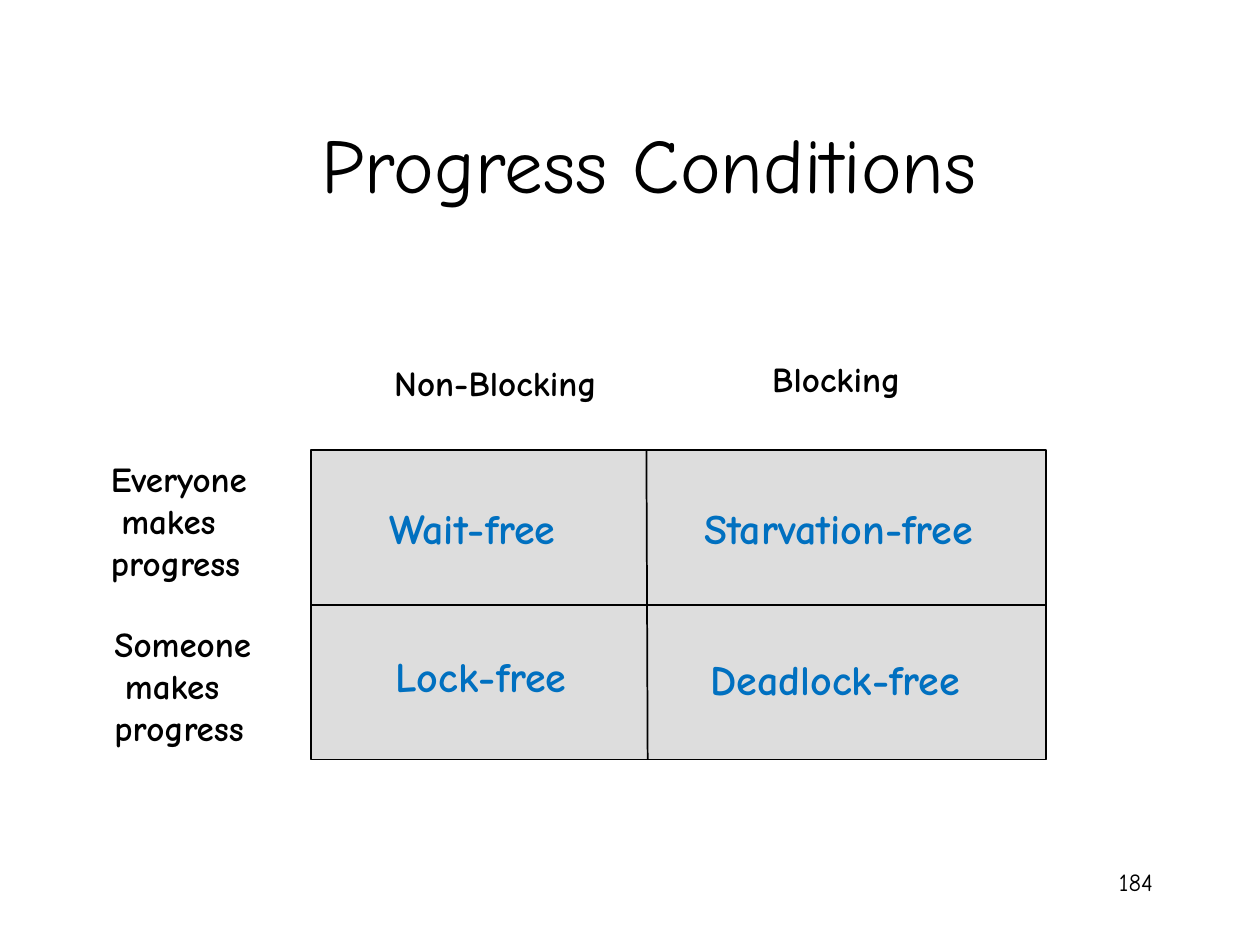
from lxml import etree
from pptx import Presentation
from pptx.dml.color import RGBColor
from pptx.enum import shapes, text
from pptx.oxml.ns import qn
from pptx.util import Pt

COLORS = {"ink": "000000", "grid": "DDDDDD", "condition": "0070C0"}
FONT = "Comic Neue"

TITLE = "Progress Conditions"
PAGE_NUMBER = "184"
COLUMN_HEADS = [
    ("Non-Blocking", 218.2, 203, 141.8),
    ("Blocking", 434.2, 200.9, 91.4),
]
ROW_HEADS = [
    (["Everyone", "makes", "progress"], 56.2, 257.8, 101.5),
    (["Someone", "makes", "progress"], 58.3, 352.1, 98.6),
]
CONDITIONS = [
    ("Wait-free", 215.3, 283.7, 137.5),
    ("Starvation-free", 395.3, 283.7, 202.3),
    ("Lock-free", 218.9, 367.9, 131.8),
    ("Deadlock-free", 398.9, 370.1, 184.3),
]
GRID_LEFT, GRID_TOP, GRID_WIDTH, GRID_HEIGHT = 177.8, 257, 419.8, 177.1
DIVIDER_TOP_X, DIVIDER_BOTTOM_X = 369.4, 370.1
MIDDLE_LINE_INDENT = 6
TITLE_SHIFT = 22

presentation = Presentation()
presentation.slide_width, presentation.slide_height = Pt(720), Pt(540)
slide = presentation.slides.add_slide(presentation.slide_layouts[6])


def color(name):
    return RGBColor.from_string(COLORS[name])


def write(lines, left, top, width, height, size=20, bold=True, ink="ink",
          align=text.PP_ALIGN.LEFT, anchor=text.MSO_ANCHOR.TOP, indents=(), inset=7.2):
    box = slide.shapes.add_textbox(Pt(left), Pt(top), Pt(width), Pt(height))
    frame = box.text_frame
    frame.word_wrap = True
    frame.vertical_anchor = anchor
    frame.margin_left = Pt(inset)
    frame.text = "\n".join(lines)
    for paragraph in frame.paragraphs:
        paragraph.alignment = align
        font = paragraph.runs[0].font
        font.name, font.size, font.bold = FONT, Pt(size), bold
        font.color.rgb = color(ink)
    for index, indent in indents:
        properties = frame.paragraphs[index]._p.get_or_add_pPr()
        properties.set("marL", str(Pt(indent)))
        properties.set("indent", "0")


def draw_line(x1, y1, x2, y2):
    line = slide.shapes.add_connector(
        shapes.MSO_CONNECTOR.STRAIGHT, Pt(x1), Pt(y1), Pt(x2), Pt(y2))
    line.line.color.rgb = color("ink")
    line.line.width = Pt(1)
    etree.SubElement(line._element.spPr, qn("a:effectLst"))
    return line


write([TITLE], 54, 48, 612, 90, size=44, bold=False, align=text.PP_ALIGN.CENTER,
      anchor=text.MSO_ANCHOR.MIDDLE, inset=7.2 + TITLE_SHIFT)
write([PAGE_NUMBER], 516, 492, 150, 36, size=14, bold=False, align=text.PP_ALIGN.RIGHT)

grid = slide.shapes.add_shape(shapes.MSO_SHAPE.RECTANGLE, Pt(GRID_LEFT), Pt(GRID_TOP),
                              Pt(GRID_WIDTH), Pt(GRID_HEIGHT))
grid.shadow.inherit = False
grid.fill.solid()
grid.fill.fore_color.rgb = color("grid")
grid.line.color.rgb = color("ink")
grid.line.width = Pt(1)

middle = GRID_TOP + GRID_HEIGHT / 2
row_divider = draw_line(GRID_LEFT, middle, GRID_LEFT + GRID_WIDTH, middle)
row_divider.begin_connect(grid, 1)
row_divider.end_connect(grid, 3)
draw_line(DIVIDER_BOTTOM_X, GRID_TOP + GRID_HEIGHT, DIVIDER_TOP_X, GRID_TOP)

for condition, left, top, width in CONDITIONS:
    write([condition], left, top, width, 36.7, size=24, ink="condition")
for head, left, top, width in COLUMN_HEADS:
    write([head], left, top, width, 31.7)
for lines, left, top, width in ROW_HEADS:
    write(lines, left, top, width, 79.9, indents=[(1, MIDDLE_LINE_INDENT)])

presentation.save("out.pptx")
